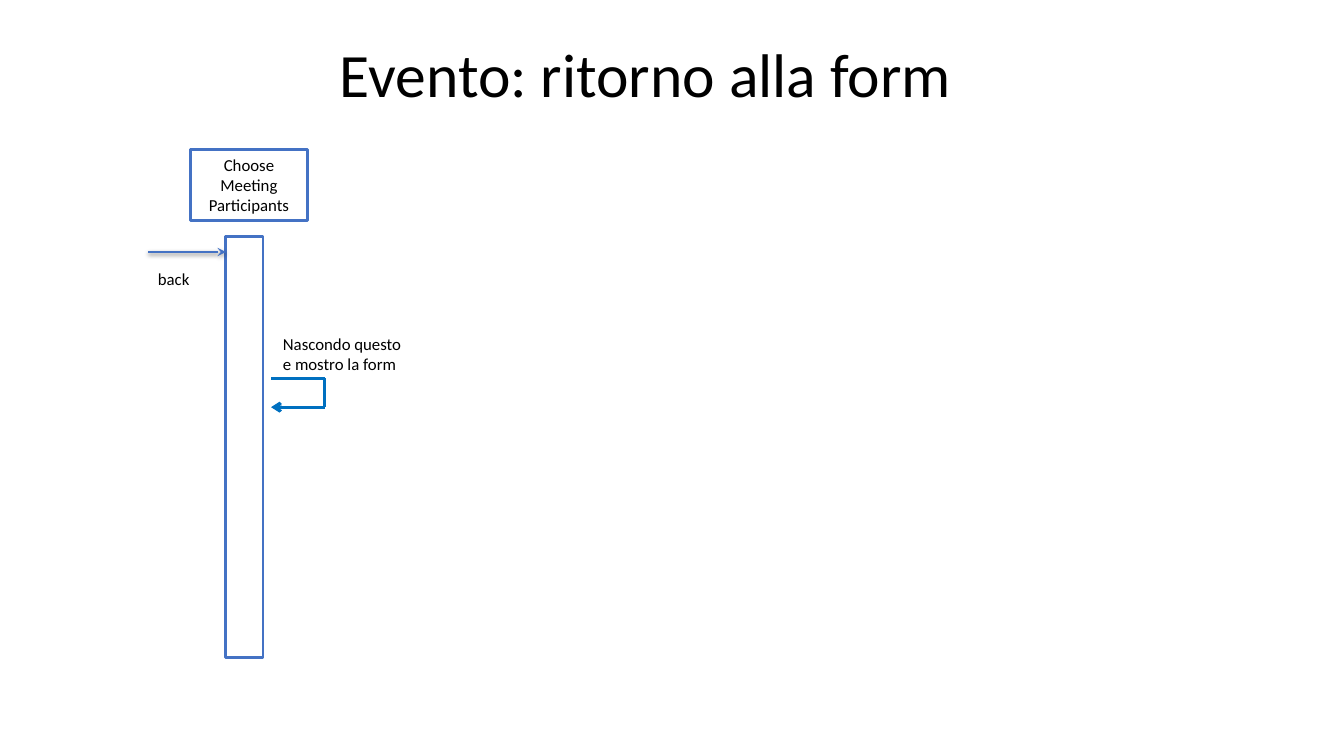
from lxml.etree import SubElement
from pptx import Presentation
from pptx.dml.color import RGBColor
from pptx.enum.shapes import MSO_CONNECTOR, MSO_SHAPE
from pptx.enum.text import MSO_ANCHOR, PP_ALIGN
from pptx.oxml.ns import qn
from pptx.util import Cm, Pt

BLACK = RGBColor(0, 0, 0)
WHITE = RGBColor(255, 255, 255)
BLUE = RGBColor(0x44, 0x72, 0xC4)
CYAN = RGBColor(0x00, 0x70, 0xC0)
FONT = "Calibri"


def write(frame, text, size=12, align=PP_ALIGN.LEFT, anchor=MSO_ANCHOR.TOP,
          inset=(0.3, 0.15), wrap=True):
    """Fill a text frame and format its runs."""
    frame.text = text
    frame.word_wrap = wrap
    frame.vertical_anchor = anchor
    frame.margin_left = frame.margin_right = Cm(inset[0])
    frame.margin_top = frame.margin_bottom = Cm(inset[1])
    for para in frame.paragraphs:
        para.alignment = align
        for run in para.runs:
            run.font.name = FONT
            run.font.size = Pt(size)
            run.font.color.rgb = BLACK


def label(shapes, place, text, **style):
    """Add a text box and return its frame."""
    frame = shapes.add_textbox(*map(Cm, place)).text_frame
    write(frame, text, **style)
    return frame


def box(shapes, place, text=""):
    """Add a white rectangle with a blue outline."""
    rect = shapes.add_shape(MSO_SHAPE.RECTANGLE, *map(Cm, place))
    rect.shadow.inherit = False
    rect.fill.solid()
    rect.fill.fore_color.rgb = WHITE
    rect.line.color.rgb = BLUE
    rect.line.width = Pt(2)
    if text:
        write(rect.text_frame, text, align=PP_ALIGN.CENTER,
              anchor=MSO_ANCHOR.MIDDLE)


def line(shapes, start, end, color, width, tip=None, shade=False):
    """Add a straight line, with an arrow tip or a soft shadow if asked."""
    link = shapes.add_connector(MSO_CONNECTOR.STRAIGHT,
                                *map(Cm, (*start, *end)))
    link.line.color.rgb = color
    link.line.width = Pt(width)
    if tip:
        SubElement(link.line._get_or_add_ln(), qn("a:tailEnd"), type=tip)
    effect = SubElement(link._element.spPr, qn("a:effectLst"))
    if shade:
        outer = SubElement(effect, qn("a:outerShdw"), blurRad="40000",
                           dist="20000", dir="5400000", rotWithShape="0")
        tint = SubElement(outer, qn("a:srgbClr"), val=str(BLACK))
        SubElement(tint, qn("a:alpha"), val="38000")


def loop(shapes, left, top, width, height):
    """Add a grouped arrow that turns back to its own bar."""
    right, low = left + width, top + height
    spots = [(left, top), (right, top), (right, low), (left, low)]
    group = shapes.add_group_shape().shapes
    for start, end, tip in zip(spots, spots[1:], (None, None, "arrow")):
        line(group, start, end, CYAN, 2.25, tip)


def main():
    """Build the slide and save it."""
    deck = Presentation()
    deck.slide_width, deck.slide_height = Cm(33.87), Cm(19.05)
    shapes = deck.slides.add_slide(deck.slide_layouts[6]).shapes

    title = label(shapes, (3.89, 0.36, 24.77, 3.18), "Evento: ritorno alla form",
                  size=44, align=PP_ALIGN.CENTER, anchor=MSO_ANCHOR.MIDDLE)
    title.paragraphs[0].line_spacing = 0.9

    box(shapes, (4.8, 3.76, 2.95, 1.8), "Choose\nMeeting\vParticipants")
    box(shapes, (5.69, 5.97, 0.94, 10.59))
    line(shapes, (3.73, 6.35), (5.69, 6.35), BLUE, 2, "stealth", shade=True)
    label(shapes, (3.73, 6.63, 1.32, 0.76), "back", inset=(0.25, 0.13),
          wrap=False)
    label(shapes, (6.83, 8.26, 3.71, 1.07), "Nascondo questo e mostro la form")
    loop(shapes, 6.83, 9.53, 1.35, 0.73)
    deck.save("out.pptx")


main()
